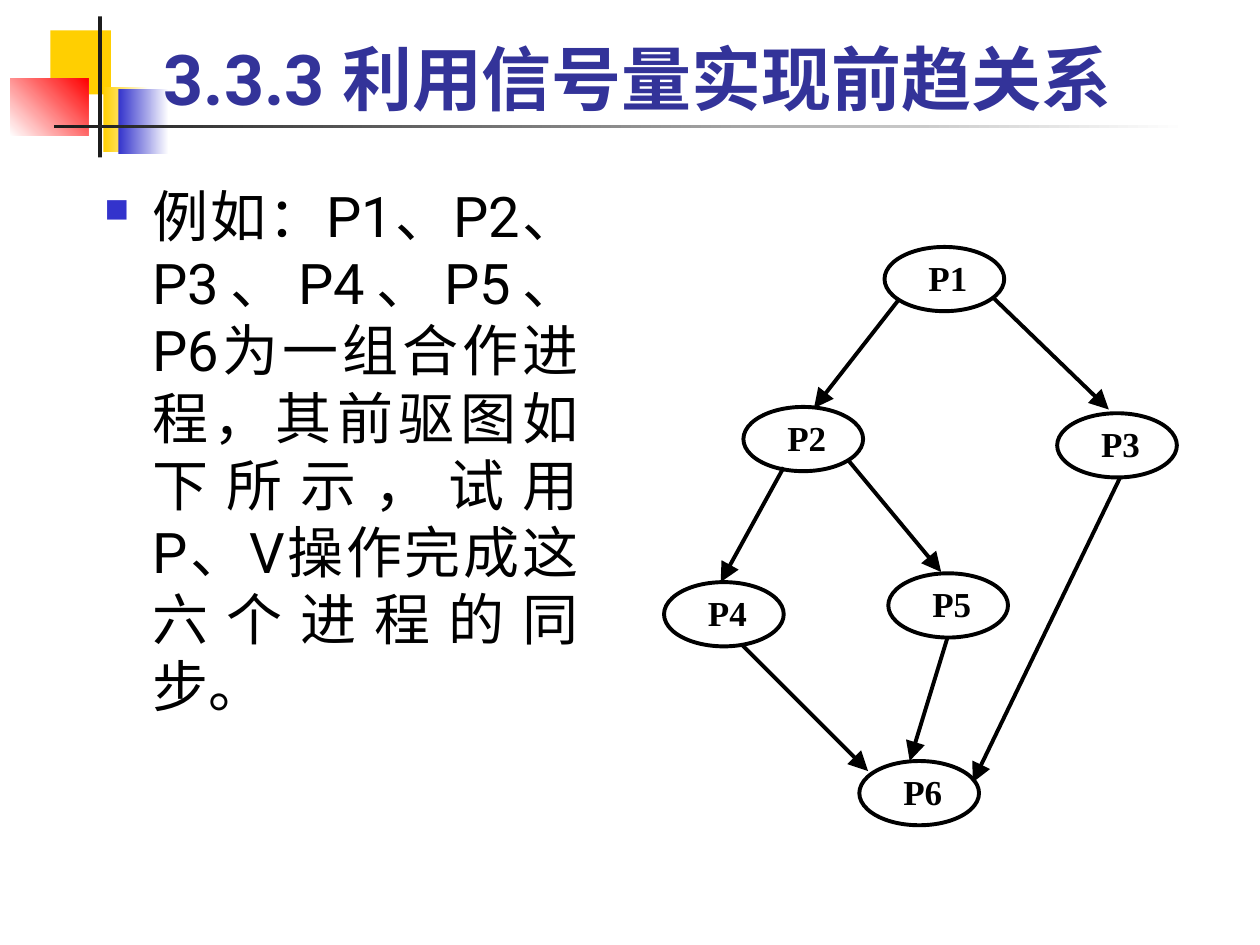
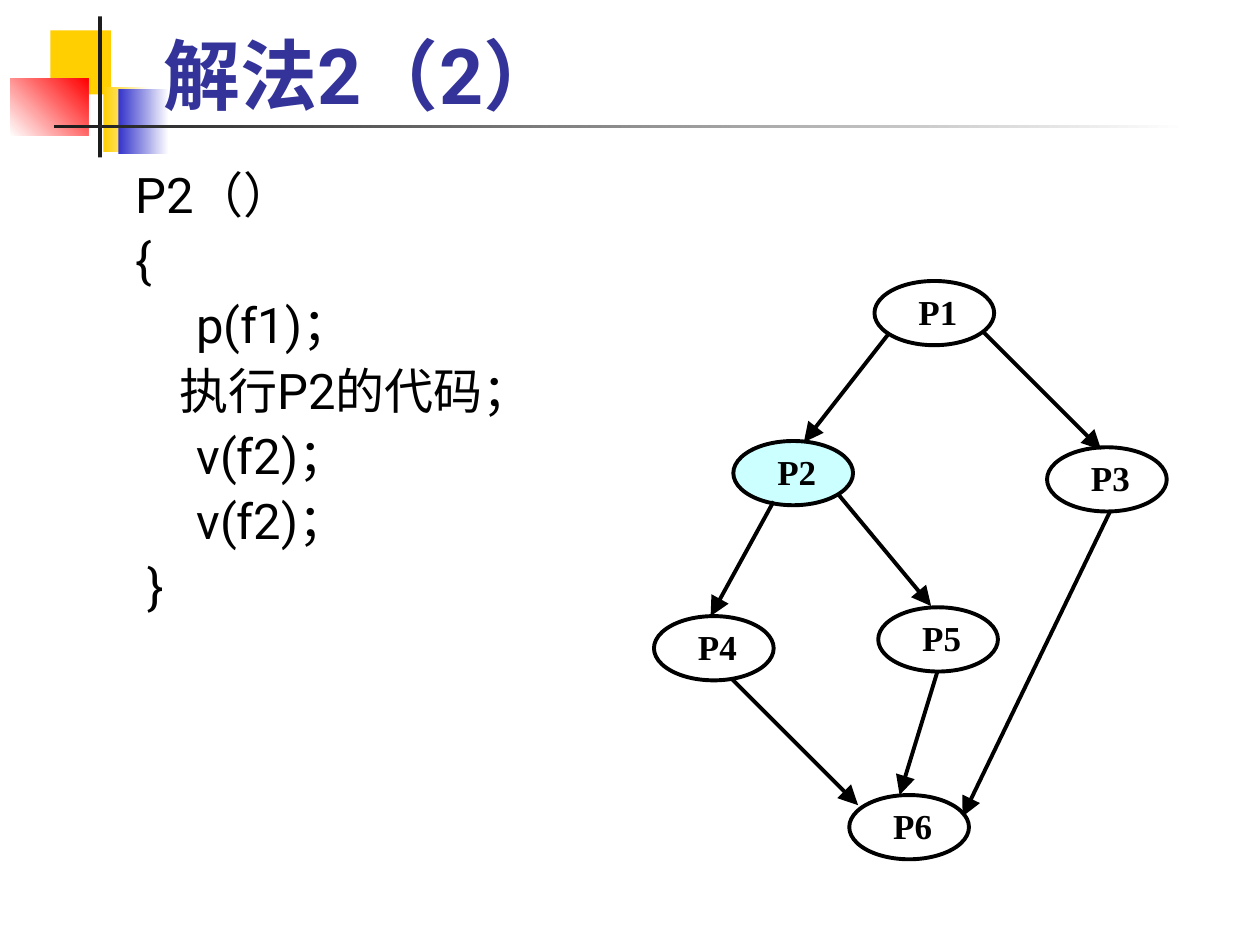
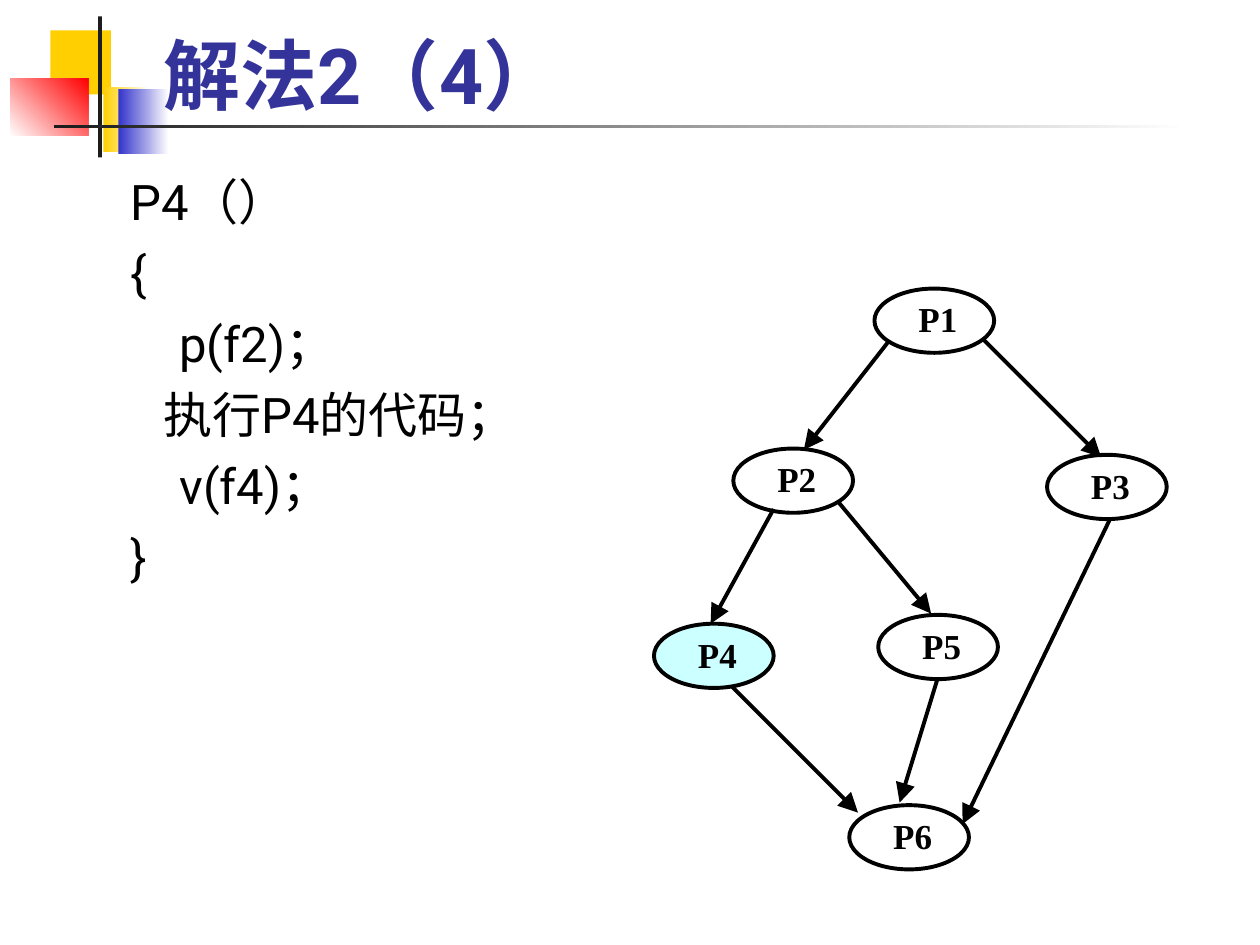
from itertools import cycle

from lxml import etree
from pptx import Presentation
from pptx.dml.color import RGBColor
from pptx.enum.shapes import MSO_CONNECTOR, MSO_SHAPE
from pptx.enum.text import MSO_ANCHOR, PP_ALIGN
from pptx.oxml.ns import qn
from pptx.util import Inches, Pt

RECT, OVAL = MSO_SHAPE.RECTANGLE, MSO_SHAPE.OVAL
STRAIGHT = MSO_CONNECTOR.STRAIGHT
TOP, BOTTOM = MSO_ANCHOR.TOP, MSO_ANCHOR.BOTTOM
JUSTIFY = PP_ALIGN.JUSTIFY

COLORS = {"gold": "FFCF01", "blue": "3333CC", "red": "FF0000", "dark": "1C1C1C",
          "title": "333399", "black": "000000", "white": "FFFFFF", "active": "CCFFFF"}
SANS, SERIF, SYMBOL = "Roboto", "Times New Roman", "Wingdings"

# Corner decoration: box, fill colours (two make a gradient), angle
DECOR = [
    ((0.4, 0.24, 0.48, 0.51), ["gold"], 0),
    ((0.82, 0.69, 0.36, 0.52), ["gold", "white"], 0),
    ((0.94, 0.71, 0.4, 0.51), ["blue", "white"], 0),
    ((0.08, 0.62, 0.62, 0.46), ["white", "red"], 45),
    ((0.78, 0.13, 0.03, 1.12), ["dark"], 0),
    ((0.43, 0.99, 9, 0.03), ["dark", "white"], 0),
]
TITLE_BOX = (1.2, 0.17, 8.52, 0.83)

# Precedence graph: node corners and arrow ends
NODE_SIZE = (0.95, 0.51)
NODES = {"P1": (6.94, 2.23), "P2": (5.82, 3.5), "P3": (8.31, 3.55),
         "P4": (5.19, 4.89), "P5": (6.97, 4.82), "P6": (6.74, 6.31)}
EDGES = {
    "P1-P2": (7.06, 2.64, 6.38, 3.51),
    "P1-P3": (7.81, 2.64, 8.74, 3.57),
    "P2-P4": (6.14, 3.98, 5.64, 4.89),
    "P2-P5": (6.65, 3.92, 7.39, 4.81),
    "P3-P6": (8.81, 4.06, 7.64, 6.48),
    "P4-P6": (5.81, 5.39, 6.81, 6.39),
    "P5-P6": (7.44, 5.33, 7.14, 6.31),
}

# Each paragraph is a list of runs that alternate between SANS and SERIF
SLIDES = [
    {"title": "3.3.3 利用信号量实现前趋关系", "title_size": 40,
     "box": (0.73, 1.39, 3.96, 4.88), "size": 32, "bullet": True,
     "text": [["例如：P1", "、", "P2", "、", "P3", "、", "P4", "、", "P5", "、", "P6", "为",
               "一组合作进程，其前驱图如下所示，试用P、V", "操作完成这六个进程的同步。"]],
     "shift": (0.08, -0.27), "moved": {"P1-P3": (7.81, 2.64, 8.72, 3.52)}},
    {"title": "解法2（2）", "title_size": 44,
     "box": (0.98, 1.31, 3.7, 3.88), "size": 28, "spacing": 0.9,
     "text": [["P2（）"], ["{"], ["     p(f1)；"], ["    执行P2的代码；"],
              ["     v(f2)；"], ["     v(f2)；"], [" }"]],
     "shift": (0, 0), "active": "P2"},
    {"title": "解法2（4）", "title_size": 44,
     "box": (0.94, 1.31, 3.43, 3.64), "size": 28,
     "text": [["P4（）"], ["{"], ["    p(f2)；"], ["   执行P4的代码；"],
              ["    v(f4)；"], ["}"]],
     "shift": (0, 0.06), "active": "P4", "moved": {"P6": (6.74, 6.33)}},
]


def rgb(name):
    return RGBColor.from_string(COLORS[name])


def inches(values):
    return [Inches(v) for v in values]


def add_run(p, text, color="black", **font):
    r = p.add_run()
    r.text = text
    r.font.color.rgb = rgb(color)
    for name, value in font.items():
        setattr(r.font, name, value)


def add_shape(s, kind, box, fill):
    sp = s.shapes.add_shape(kind, *inches(box))
    sp.shadow.inherit = False
    sp.fill.solid()
    sp.fill.fore_color.rgb = rgb(fill)
    sp.line.fill.background()
    return sp


def add_text_box(s, box, anchor):
    tf = s.shapes.add_textbox(*inches(box)).text_frame
    tf.word_wrap = True
    tf.vertical_anchor = anchor
    return tf


def add_decor(s):
    for box, fills, angle in DECOR:
        sp = add_shape(s, RECT, box, fills[0])
        if len(fills) > 1:
            sp.fill.gradient()
            sp.fill.gradient_angle = angle
            for stop, name in zip(sp.fill.gradient_stops, fills):
                stop.color.rgb = rgb(name)


def add_bullet(pPr):
    color = etree.SubElement(pPr, qn("a:buClr"))
    etree.SubElement(color, qn("a:srgbClr"), val=COLORS["blue"])
    etree.SubElement(pPr, qn("a:buSzPct"), val="60000")
    etree.SubElement(pPr, qn("a:buFont"), typeface=SYMBOL, charset="2")
    etree.SubElement(pPr, qn("a:buChar"), char="n")  # a filled square in the symbol font


def add_body(s, data):
    tf = add_text_box(s, data["box"], TOP)
    for i, runs in enumerate(data["text"]):
        p = tf.add_paragraph() if i else tf.paragraphs[0]
        p.alignment = JUSTIFY
        p.line_spacing = data.get("spacing")
        p.space_before = Pt(7 if i else 0)
        pPr = p._p.get_or_add_pPr()
        pPr.set("marL", str(Inches(0.38)))
        pPr.set("indent", str(Inches(-0.38)))
        pPr.set("hangingPunct", "0")
        if data.get("bullet"):
            add_bullet(pPr)
        for text, font in zip(runs, cycle([SANS, SERIF])):
            add_run(p, text, name=font, size=Pt(data["size"]))


def add_node(s, label, corner, fill):
    sp = add_shape(s, OVAL, (*corner, *NODE_SIZE), fill)
    sp.line.color.rgb = rgb("black")
    sp.line.width = Pt(2.25)
    tf = sp.text_frame
    tf.vertical_anchor = TOP
    tf.margin_left = Inches(0.21)
    tf.margin_top = tf.margin_right = tf.margin_bottom = 0
    p = tf.paragraphs[0]
    p.alignment = JUSTIFY
    add_run(p, label, name=SERIF, size=Pt(20), bold=True)


def add_arrow(s, ends):
    cn = s.shapes.add_connector(STRAIGHT, *inches(ends))
    cn.line.color.rgb = rgb("black")
    cn.line.width = Pt(2.25)
    etree.SubElement(cn.line._get_or_add_ln(), qn("a:tailEnd"),
                     type="triangle", w="lg", len="lg")
    etree.SubElement(cn._element.spPr, qn("a:effectLst"))


def add_graph(s, data):
    moved = data.get("moved", {})

    def place(key, points):
        return [v + d for v, d in zip(moved.get(key, points), cycle(data["shift"]))]

    for label, corner in NODES.items():
        fill = "active" if label == data.get("active") else "white"
        add_node(s, label, place(label, corner), fill)
    for key, ends in EDGES.items():
        add_arrow(s, place(key, ends))


def main():
    prs = Presentation()
    prs.slide_width, prs.slide_height = Inches(10), Inches(7.5)
    for data in SLIDES:
        s = prs.slides.add_slide(prs.slide_layouts[6])
        add_decor(s)
        p = add_text_box(s, TITLE_BOX, BOTTOM).paragraphs[0]
        add_run(p, data["title"], "title", name=SANS, size=Pt(data["title_size"]), bold=True)
        add_body(s, data)
        add_graph(s, data)
    prs.save("out.pptx")


if __name__ == "__main__":
    main()
